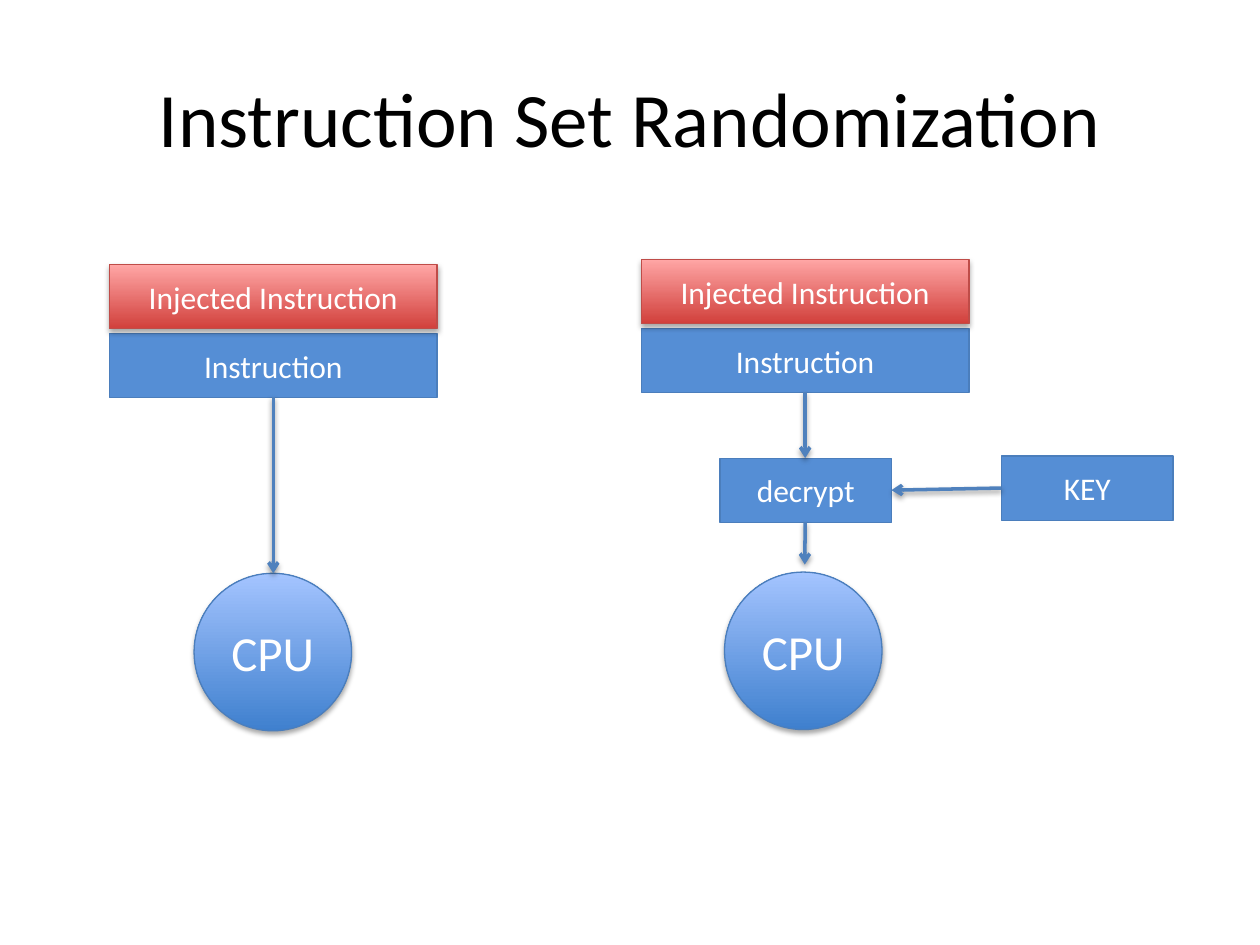
"""Build the Instruction Set Randomization slide."""
from lxml.etree import SubElement
from pptx import Presentation
from pptx.dml.color import RGBColor
from pptx.enum.shapes import MSO_CONNECTOR as Link, MSO_SHAPE as Shape
from pptx.enum.text import MSO_ANCHOR as Anchor, PP_ALIGN as Align
from pptx.oxml.ns import qn
from pptx.util import Pt


class Theme:
    font = "Calibri"
    title_size, cpu_size, label_size = 44, 28, 18
    black, white = "000000", "FFFFFF"
    plain = (["558ED5"], "4B7EBC")
    blue = (["3F80CE", "A4C4FF"], "4B7EBC")
    red = (["D1403C", "FFA6A5"], "BF4C48")
    arrow = "4F81BD"


def write(shape, text, size, color):
    frame = shape.text_frame
    frame.word_wrap = True
    frame.vertical_anchor = Anchor.MIDDLE
    line = frame.paragraphs[0]
    line.alignment = Align.CENTER
    run = line.add_run()
    run.text = text
    run.font.name = Theme.font
    run.font.size = Pt(size)
    run.font.color.rgb = RGBColor.from_string(color)


def cast_shadow(effects, distance, opacity):
    shadow = SubElement(effects, qn("a:outerShdw"), blurRad=str(Pt(3.1)),
                        dist=str(Pt(distance)), dir="5400000", rotWithShape="0")
    color = SubElement(shadow, qn("a:srgbClr"), val=Theme.black)
    SubElement(color, qn("a:alpha"), val=str(opacity * 1000))


deck = Presentation()
deck.slide_width, deck.slide_height = Pt(720), Pt(540)
slide = deck.slides.add_slide(deck.slide_layouts[6])

title = slide.shapes.add_textbox(Pt(36), Pt(21.6), Pt(648), Pt(90))
write(title, "Instruction Set Randomization", Theme.title_size, Theme.black)

wide, narrow, tall, round_size, step = 187.2, 97.9, 36.7, 90, 39.4
nodes = []
for left, top, cpu_left, cpu_top in [(62.6, 151.2, 110.9, 327.6), (366.5, 148.2, 414, 326.9)]:
    nodes += [
        ("Instruction", Shape.RECTANGLE, left, top + step, wide, tall, Theme.plain, Theme.label_size),
        ("CPU", Shape.OVAL, cpu_left, cpu_top, round_size, round_size, Theme.blue, Theme.cpu_size),
        ("Injected Instruction", Shape.RECTANGLE, left, top, wide, tall, Theme.red, Theme.label_size),
    ]
for step_name, left, top in [("KEY", 572.4, 260.6), ("decrypt", 411.5, 261.8)]:
    nodes.append((step_name, Shape.RECTANGLE, left, top, narrow, tall, Theme.plain, Theme.label_size))

for label, outline, left, top, width, height, (fills, edge), size in nodes:
    node = slide.shapes.add_shape(outline, Pt(left), Pt(top), Pt(width), Pt(height))
    node.line.color.rgb = RGBColor.from_string(edge)
    node.line.width = Pt(0.75)
    node.shadow.inherit = False
    if len(fills) == 1:
        node.fill.solid()
        node.fill.fore_color.rgb = RGBColor.from_string(fills[0])
    else:
        node.fill.gradient()
        node.fill.gradient_angle = 90
        for position, (stop, color) in enumerate(zip(node.fill.gradient_stops, fills)):
            stop.position = position
            stop.color.rgb = RGBColor.from_string(color)
        cast_shadow(node.element.spPr.find(qn("a:effectLst")), 1.8, 35)
    write(node, label, size, Theme.white)

for x1, y1, x2, y2 in [
    (156.2, 227, 156.2, 327.6),
    (460.1, 224, 460.1, 261.8),
    (572.4, 278.9, 509.4, 280.1),
    (460.1, 298.4, 459.9, 322.6),
]:
    flow = slide.shapes.add_connector(Link.STRAIGHT, Pt(x1), Pt(y1), Pt(x2), Pt(y2))
    flow.line.color.rgb = RGBColor.from_string(Theme.arrow)
    flow.line.width = Pt(2)
    properties = flow._element.spPr
    SubElement(properties.find(qn("a:ln")), qn("a:tailEnd"), type="arrow")
    cast_shadow(SubElement(properties, qn("a:effectLst")), 1.6, 38)

deck.save("out.pptx")
